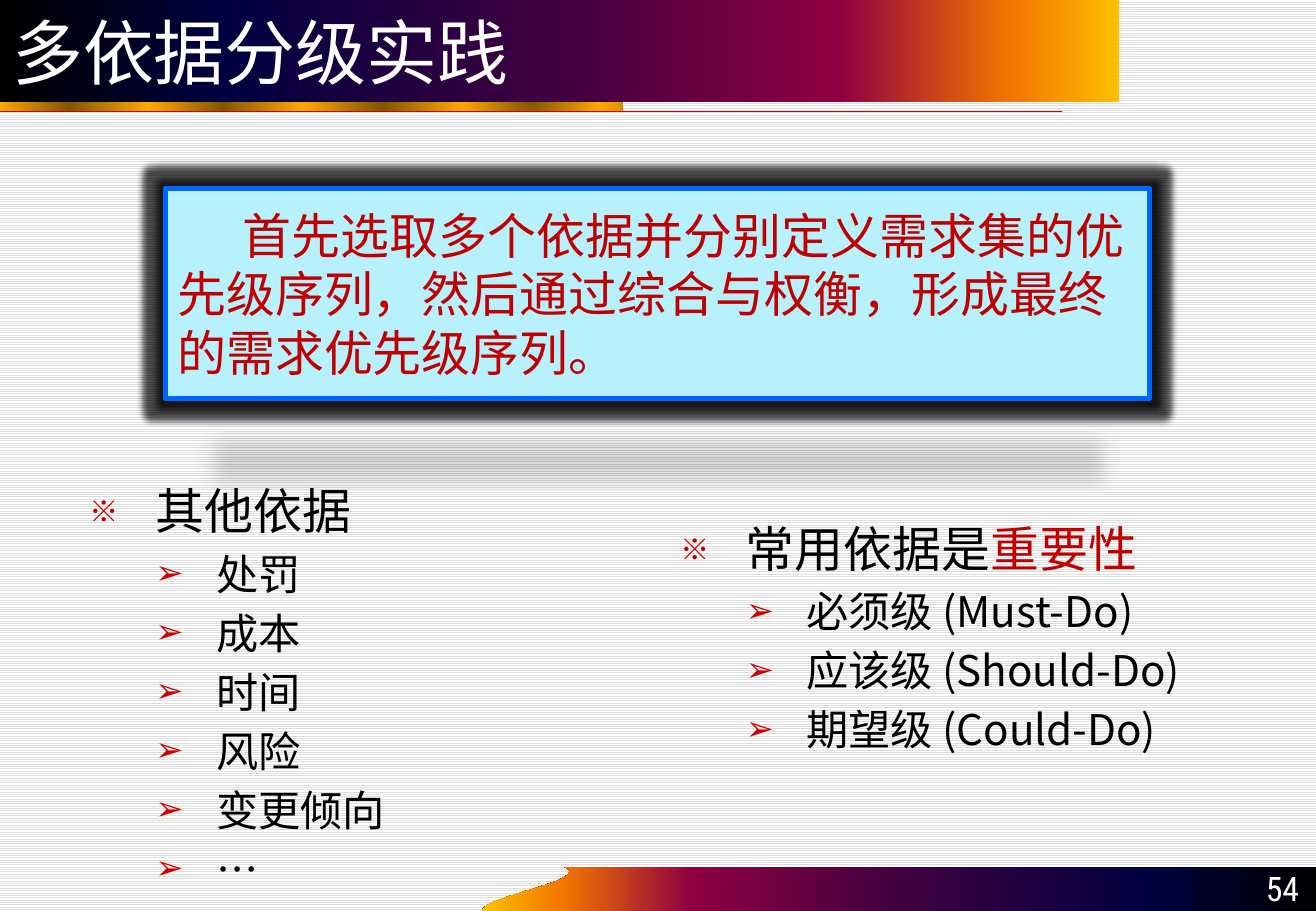
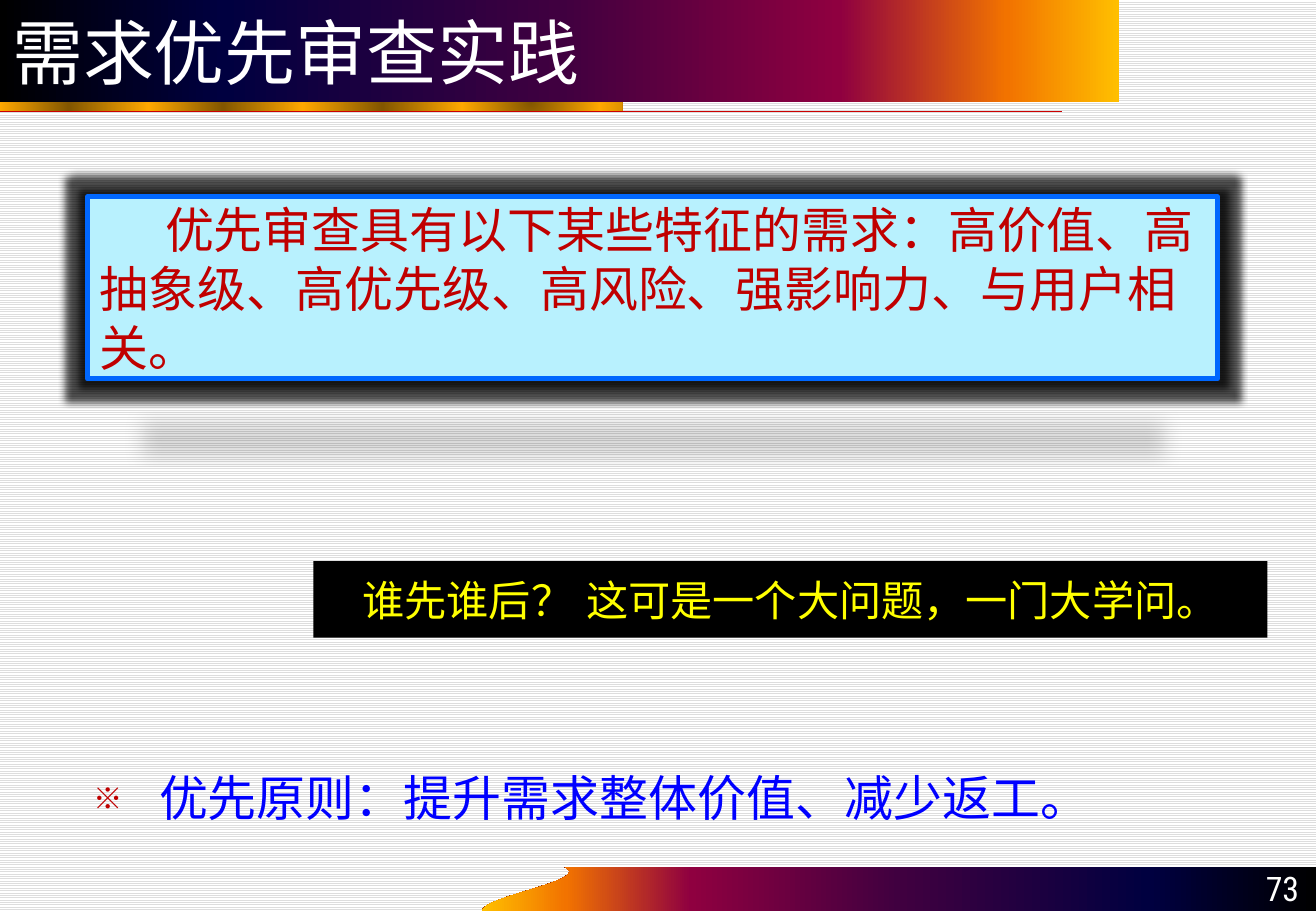
from lxml import etree
from pptx import Presentation
from pptx import util as u
from pptx.dml import color as dml
from pptx.enum import dml as patterns, shapes, text
from pptx.oxml import ns

COLORS = {
    "white": "FFFFFF", "black": "000000", "stripe": "DDDDDD",
    "red": "C00000", "rule": "CC0000", "blue": "0000FF", "yellow": "FFFF00",
    "panel": "B8F1FE", "border": "0067FE",
}
SUNSET = [(0, "000000"), (20, "000040"), (50, "400040"),
          (75, "8F0040"), (90, "F27300"), (100, "FFBF00")]
GOLD = [(position, "FFA800" if index % 2 else "825600")
        for index, position in enumerate([0, 13, 28, 43, 58, 72, 87, 100])]
SANS = "DejaVu Sans"
CJK = "Noto Sans CJK SC"
CONDENSED = "Roboto Condensed"
LINE_HEIGHT = 1.2
BULLETS = [
    {"char": "※", "color": "red", "percent": 60, "font": CJK, "margin": 0.54, "hang": 0.54},
    {"char": "➢", "color": "rule", "percent": 80, "font": SANS, "margin": 1.04, "hang": 0.5},
]


def rgb(name):
    return dml.RGBColor.from_string(COLORS[name])


def child(parent, tag, **attributes):
    element = etree.SubElement(parent, ns.qn(tag))
    for name, value in attributes.items():
        element.set(name, str(value))
    return element


def tint(parent, hex_color, alpha=None):
    color = child(parent, "a:srgbClr", val=hex_color)
    if alpha:
        child(color, "a:alpha", val=alpha * 1000)


def gradient(shape, stops, angle=None):
    shape.fill.background()
    properties = shape._element.spPr
    fill = etree.Element(ns.qn("a:gradFill"), rotWithShape="1")
    stop_list = child(fill, "a:gsLst")
    for position, hex_color in stops:
        tint(child(stop_list, "a:gs", pos=position * 1000), hex_color)
    if angle is None:
        circle = child(fill, "a:path")
        circle.set("path", "circle")
        child(circle, "a:fillToRect", l=50000, t=50000, r=50000, b=50000)
    else:
        child(fill, "a:lin", ang=angle * 60000, scaled=0)
    properties.replace(properties.find(ns.qn("a:noFill")), fill)


def curve(start, first, second, end, steps=24):
    points = []
    for step in range(1, steps + 1):
        t = step / steps
        weights = [(1 - t) ** 3, 3 * t * (1 - t) ** 2, 3 * t * t * (1 - t), t ** 3]
        points.append(tuple(sum(weight * point[axis] for weight, point
                                in zip(weights, (start, first, second, end)))
                            for axis in (0, 1)))
    return points


def write(para, content, size, font=SANS, color="black", align=None):
    span = para.add_run()
    span.text = content
    span.font.size = u.Pt(size)
    span.font.name = font
    span.font.color.rgb = rgb(color)
    properties = span._r.get_or_add_rPr()
    properties.set("lang", "zh-CN")
    child(properties, "a:ea", typeface=font)
    if align is not None:
        para.alignment = align


class Deck:
    def __init__(self):
        self.deck = Presentation()
        self.deck.slide_width = u.Inches(10.83)
        self.deck.slide_height = u.Inches(7.5)
        self.page = None

    def add_page(self, title, number):
        self.page = self.deck.slides.add_slide(self.deck.slide_layouts[5])
        fill = self.page.background.fill
        fill.patterned()
        fill.pattern = patterns.MSO_PATTERN.LIGHT_HORIZONTAL
        fill.fore_color.rgb = rgb("stripe")
        fill.back_color.rgb = rgb("white")
        self.bands()
        self.title(title)
        frame = self.text_box(9.83, 7.13, 0.96, 0.4, text.MSO_ANCHOR.BOTTOM)
        write(frame.paragraphs[0], number, 20, CONDENSED, "white", text.PP_ALIGN.RIGHT)

    def outline(self, *contours):
        builder = None
        for contour in contours:
            points = [(u.Inches(x), u.Inches(y)) for x, y in contour]
            if builder is None:
                builder = self.page.shapes.build_freeform(*points[0], scale=1.0)
            else:
                builder.move_to(*points[0])
            builder.add_line_segments(points[1:], close=len(points) > 2)
        shape = builder.convert_to_shape()
        shape.shadow.inherit = False
        shape.line.fill.background()
        return shape

    def bands(self):
        corner = (3.97, 7.5)
        edge = curve(corner, (3.97, 7.38), (4.87, 7.25), (4.65, 7.14))
        footer = self.outline([(4.65, 7.14), (10.83, 7.14), (10.83, 7.5), corner] + edge)
        gradient(footer, SUNSET, 180)
        rule = [(0, 0.92), (8.74, 0.92)]
        strip = self.outline([(0, 0.92), (5.12, 0.92), (5.12, 0.76), (0, 0.76)], rule)
        gradient(strip, GOLD)
        ends = [u.Inches(value) for point in rule for value in point]
        line = self.page.shapes.add_connector(shapes.MSO_CONNECTOR.STRAIGHT, *ends)
        line.line.color.rgb = rgb("rule")
        line.line.width = u.Pt(0.75)
        child(line._element.spPr, "a:effectLst")

    def title(self, content):
        title = self.page.shapes.title
        title.left, title.top = u.Inches(0), u.Inches(0)
        title.width, title.height = u.Inches(9.21), u.Inches(0.84)
        gradient(title, SUNSET, 0)
        frame = title.text_frame
        frame.auto_size = text.MSO_AUTO_SIZE.NONE
        frame.word_wrap = True
        frame.vertical_anchor = text.MSO_ANCHOR.MIDDLE
        write(frame.paragraphs[0], content, 42, color="white", align=text.PP_ALIGN.LEFT)
        self.page.shapes._spTree.append(title._element)

    def text_box(self, left, top, width, height, anchor=text.MSO_ANCHOR.TOP):
        box = self.page.shapes.add_textbox(*map(u.Inches, (left, top, width, height)))
        box.text_frame.word_wrap = True
        box.text_frame.vertical_anchor = anchor
        return box.text_frame

    def panel(self, left, top, width, height, fill):
        box = self.page.shapes.add_shape(
            shapes.MSO_SHAPE.RECTANGLE, *map(u.Inches, (left, top, width, height)))
        box.shadow.inherit = False
        box.fill.solid()
        box.fill.fore_color.rgb = rgb(fill)
        box.line.fill.background()
        box.text_frame.word_wrap = True
        box.text_frame.vertical_anchor = text.MSO_ANCHOR.MIDDLE
        return box

    def callout(self, left, top, width, height, content):
        box = self.panel(left, top, width, height, "panel")
        box.line.color.rgb = rgb("border")
        box.line.width = u.Pt(3)
        effects = box._element.spPr.find(ns.qn("a:effectLst"))
        tint(child(effects, "a:glow", rad=u.Pt(8)), COLORS["black"], 70)
        shadow = child(effects, "a:outerShdw", blurRad=u.Pt(12), dist=u.Pt(25),
                       dir=90 * 60000, sx=90000, sy=-19000, rotWithShape=0)
        tint(shadow, COLORS["black"], 15)
        para = box.text_frame.paragraphs[0]
        para.line_spacing = u.Pt(29 * LINE_HEIGHT)
        para._p.get_or_add_pPr().set("indent", str(u.Inches(0.54)))
        write(para, content, 29, color="red", align=text.PP_ALIGN.LEFT)

    def banner(self, left, top, width, height, content):
        box = self.panel(left, top, width, height, "black")
        write(box.text_frame.paragraphs[0], content, 25, color="yellow",
              align=text.PP_ALIGN.CENTER)

    def bullet_list(self, left, top, width, height, heading, items=(), font=CJK):
        frame = self.text_box(left, top, width, height)
        self.bullet(frame.paragraphs[0], 0, heading, 29, font)
        for item in items:
            self.bullet(frame.add_paragraph(), 1, [(item, "black")], 25, CJK)

    def bullet(self, para, level, spans, size, font):
        style = BULLETS[level]
        para.level = level
        para.line_spacing = u.Pt(size * LINE_HEIGHT)
        if level:
            para.space_before = u.Pt(size * 0.2)
        properties = para._p.get_or_add_pPr()
        properties.set("marL", str(u.Inches(style["margin"])))
        properties.set("indent", str(-u.Inches(style["hang"])))
        tint(child(properties, "a:buClr"), COLORS[style["color"]])
        child(properties, "a:buSzPct", val=style["percent"] * 1000)
        child(properties, "a:buFont", typeface=style["font"])
        child(properties, "a:buChar", char=style["char"])
        for content, color in spans:
            write(para, content, size, font, color)


def main():
    deck = Deck()

    deck.add_page("多依据分级实践", "54")
    deck.bullet_list(5.5, 4.22, 4.82, 2.13,
                     [("常用依据是", "black"), ("重要性", "red")],
                     ["必须级 (Must-Do)", "应该级 (Should-Do)", "期望级 (Could-Do)"])
    deck.callout(1.36, 1.55, 8.1, 1.73,
                 "首先选取多个依据并分别定义需求集的优先级序列，"
                 "然后通过综合与权衡，形成最终的需求优先级序列。")
    deck.bullet_list(0.64, 3.91, 3.58, 3.39, [("其他依据", "black")],
                     ["处罚", "成本", "时间", "风险", "变更倾向", "…"], font=SANS)

    deck.add_page("需求优先审查实践", "73")
    deck.bullet_list(0.67, 6.27, 9.48, 0.63,
                     [("优先原则：提升需求整体价值、减少返工。", "blue")])
    deck.callout(0.72, 1.62, 9.3, 1.5,
                 "优先审查具有以下某些特征的需求：高价值、高抽象级、"
                 "高优先级、高风险、强影响力、与用户相关。")
    deck.banner(2.58, 4.62, 7.85, 0.63, "谁先谁后？ 这可是一个大问题，一门大学问。")

    deck.deck.save("out.pptx")


if __name__ == "__main__":
    main()
